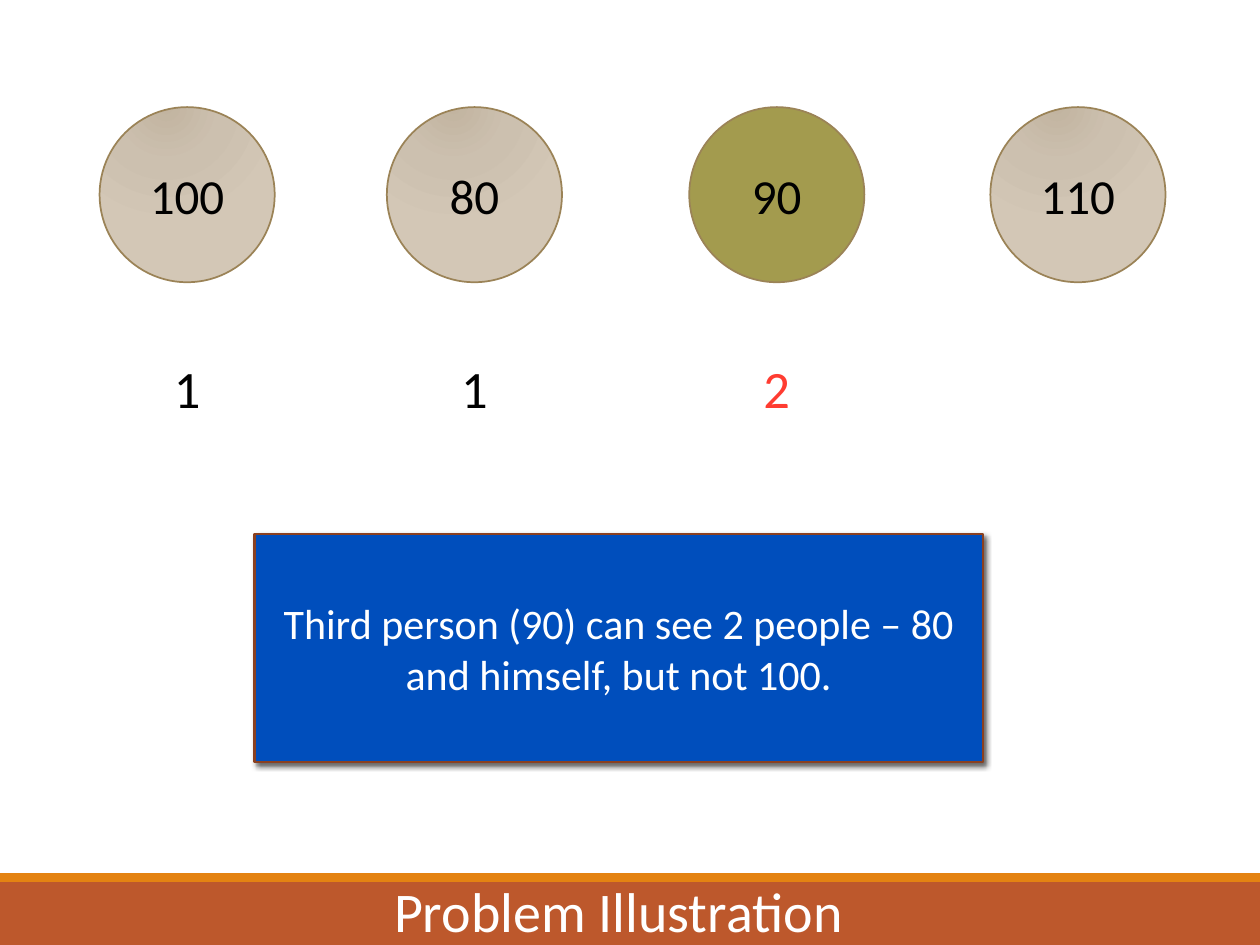
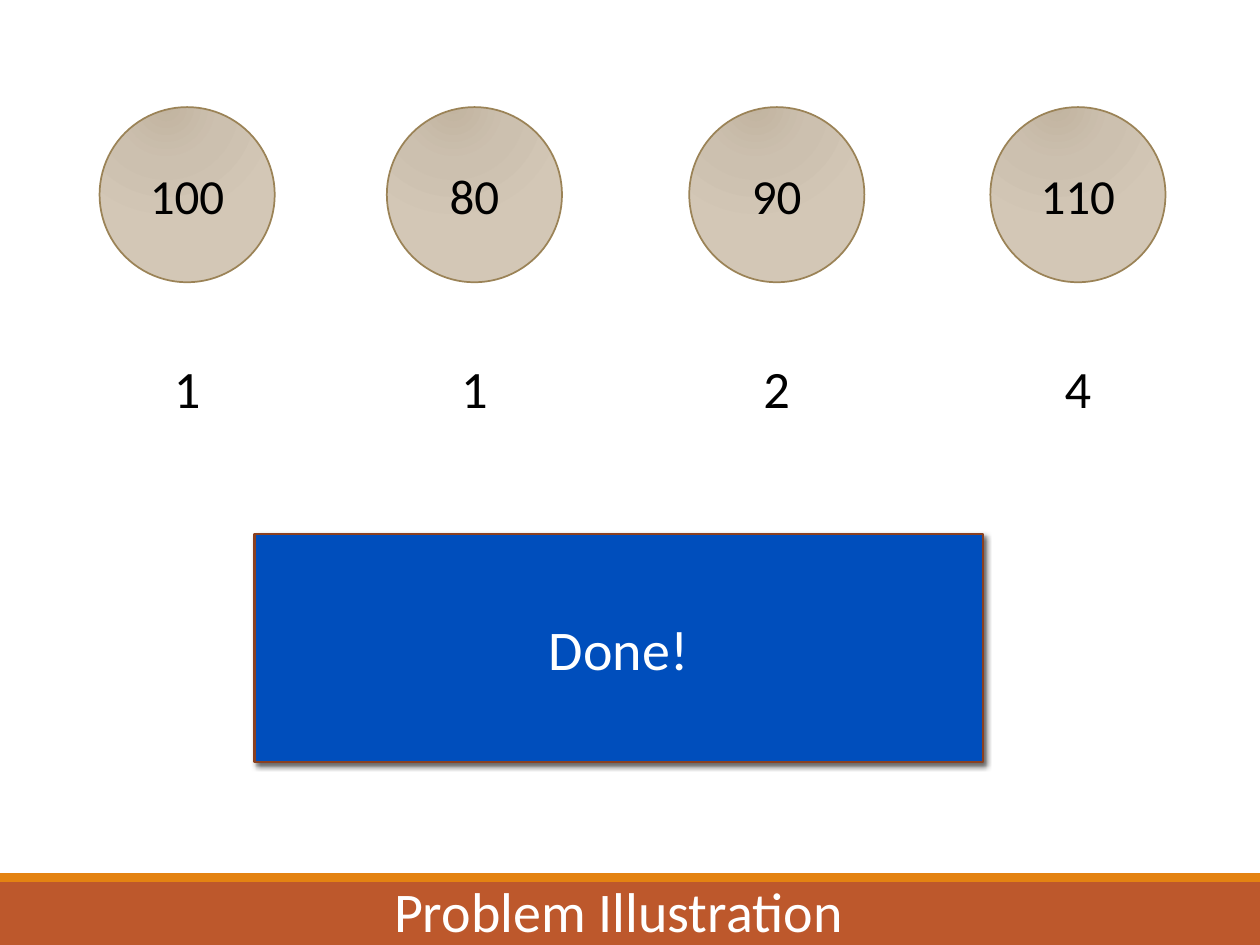
from lxml import etree
from pptx import Presentation
from pptx.dml.color import RGBColor
from pptx.enum.shapes import MSO_SHAPE
from pptx.enum.text import MSO_ANCHOR, PP_ALIGN
from pptx.oxml.ns import qn
from pptx.util import Inches, Pt

RECTANGLE, OVAL = MSO_SHAPE.RECTANGLE, MSO_SHAPE.OVAL
TOP, MIDDLE, BOTTOM = MSO_ANCHOR.TOP, MSO_ANCHOR.MIDDLE, MSO_ANCHOR.BOTTOM
CENTER = PP_ALIGN.CENTER

# The slide is a grid of 100 columns by 75 rows of square cells.
COLUMNS = 100
SLIDE_WIDTH, SLIDE_HEIGHT = Inches(10), Inches(7.5)

FONT = "Calibri"
BLACK, WHITE, RED = "000000", "FFFFFF", "FF3C31"
BAND, BAND_EDGE = "BD582C", "E48312"
PERSON_LINE, PERSON_ACTIVE = "9B8357", "A39B4E"
PERSON_GRADIENT = [(0, "C2B4A0"), (45, "CCC0AF"), (100, "D3C7B6")]
PERSON_FOCUS = {"l": 38, "t": -20, "r": 62, "b": 120}
MESSAGE_FILL, MESSAGE_LINE = "004EBC", "8A4020"

HEIGHTS = [100, 80, 90, 110]
PERSON_LEFTS = [7.9, 30.7, 54.7, 78.6]
PERSON_TOP, PERSON_SIZE = 8.5, 13.9
COUNT_TOP, COUNT_WIDTH, COUNT_HEIGHT = 27.8, 3.3, 6.1


def color(hex_string):
    return RGBColor.from_string(hex_string)


def cells(*counts):
    """Turn grid counts into slide lengths."""
    return [round(count * SLIDE_WIDTH / COLUMNS) for count in counts]


def add_xml(parent, tag, **attributes):
    values = {name: str(value) for name, value in attributes.items()}
    return etree.SubElement(parent, qn(tag), values)


def write_text(shape, text, size, text_color, anchor=MIDDLE, wrap=True):
    frame = shape.text_frame
    frame.word_wrap = wrap
    frame.vertical_anchor = anchor
    frame.margin_left = frame.margin_right = Inches(0.05)
    frame.margin_top = frame.margin_bottom = Inches(0.05)
    paragraph = frame.paragraphs[0]
    paragraph.alignment = CENTER
    run = paragraph.add_run()
    run.text = text
    run.font.name = FONT
    run.font.size = Pt(size)
    run.font.color.rgb = color(text_color)


def add_shape(slide, kind, box, fill, line=None, line_width=1):
    shape = slide.shapes.add_shape(kind, *cells(*box))
    shape.shadow.inherit = False
    shape.fill.solid()
    shape.fill.fore_color.rgb = color(fill)
    if line:
        shape.line.color.rgb = color(line)
        shape.line.width = Pt(line_width)
    else:
        shape.line.fill.background()
    return shape


def add_text(slide, box, text, size, text_color, anchor=TOP, wrap=True):
    text_box = slide.shapes.add_textbox(*cells(*box))
    write_text(text_box, text, size, text_color, anchor, wrap)


def set_radial_gradient(shape, stops, focus):
    solid = shape.element.spPr.find(qn("a:solidFill"))
    gradient = etree.Element(qn("a:gradFill"), rotWithShape="1")
    stop_list = add_xml(gradient, "a:gsLst")
    for position, hex_string in stops:
        stop = add_xml(stop_list, "a:gs", pos=position * 1000)
        add_xml(stop, "a:srgbClr", val=hex_string)
    circle = add_xml(gradient, "a:path", path="circle")
    edges = {side: share * 1000 for side, share in focus.items()}
    add_xml(circle, "a:fillToRect", **edges)
    solid.getparent().replace(solid, gradient)


def set_shadow(shape, hex_string, opacity, blur, distance, angle):
    effects = shape.element.spPr.find(qn("a:effectLst"))
    shadow = add_xml(effects, "a:outerShdw", blurRad=Pt(blur), dist=Pt(distance),
                     dir=angle * 60000, algn="ctr", rotWithShape=0)
    shadow_color = add_xml(shadow, "a:srgbClr", val=hex_string)
    add_xml(shadow_color, "a:alpha", val=opacity * 1000)


def add_title_band(slide, title):
    add_shape(slide, RECTANGLE, (0, 70, COLUMNS, 5), BAND)
    add_shape(slide, RECTANGLE, (0, 69.3, COLUMNS, 0.7), BAND_EDGE)
    add_text(slide, (27.9, 69, 42.4, 6.4), title, 32, WHITE, BOTTOM)


def add_person(slide, left, height, active):
    box = (left, PERSON_TOP, PERSON_SIZE, PERSON_SIZE)
    person = add_shape(slide, OVAL, box, PERSON_ACTIVE, PERSON_LINE)
    if not active:
        set_radial_gradient(person, PERSON_GRADIENT, PERSON_FOCUS)
    write_text(person, str(height), 28, BLACK)


def add_count(slide, person_left, count, active):
    """Centre the number of visible people under a person."""
    left = person_left + (PERSON_SIZE - COUNT_WIDTH) / 2
    box = (left, COUNT_TOP, COUNT_WIDTH, COUNT_HEIGHT)
    add_text(slide, box, str(count), 30, RED if active else BLACK, wrap=False)


def add_message(slide, text, size):
    box = (20.2, 42.4, 57.8, 18.1)
    message = add_shape(slide, RECTANGLE, box, MESSAGE_FILL, MESSAGE_LINE, 1.25)
    set_shadow(message, BLACK, opacity=60, blur=3, distance=2, angle=45)
    write_text(message, text, size, WHITE)


def add_illustration(presentation, counts, message, message_size, active=None):
    """Add one step; active is the index of the person being looked at."""
    slide = presentation.slides.add_slide(presentation.slide_layouts[6])
    add_title_band(slide, "Problem Illustration")
    for index, (left, height) in enumerate(zip(PERSON_LEFTS, HEIGHTS)):
        add_person(slide, left, height, index == active)
    add_message(slide, message, message_size)
    for index, (left, count) in enumerate(zip(PERSON_LEFTS, counts)):
        add_count(slide, left, count, index == active)


def main():
    presentation = Presentation()
    presentation.slide_width = SLIDE_WIDTH
    presentation.slide_height = SLIDE_HEIGHT
    add_illustration(
        presentation, [1, 1, 2],
        "Third person (90) can see 2 people – 80 and himself, but not 100.",
        24, active=2)
    add_illustration(presentation, [1, 1, 2, 4], "Done!", 32)
    presentation.save("out.pptx")


if __name__ == "__main__":
    main()
